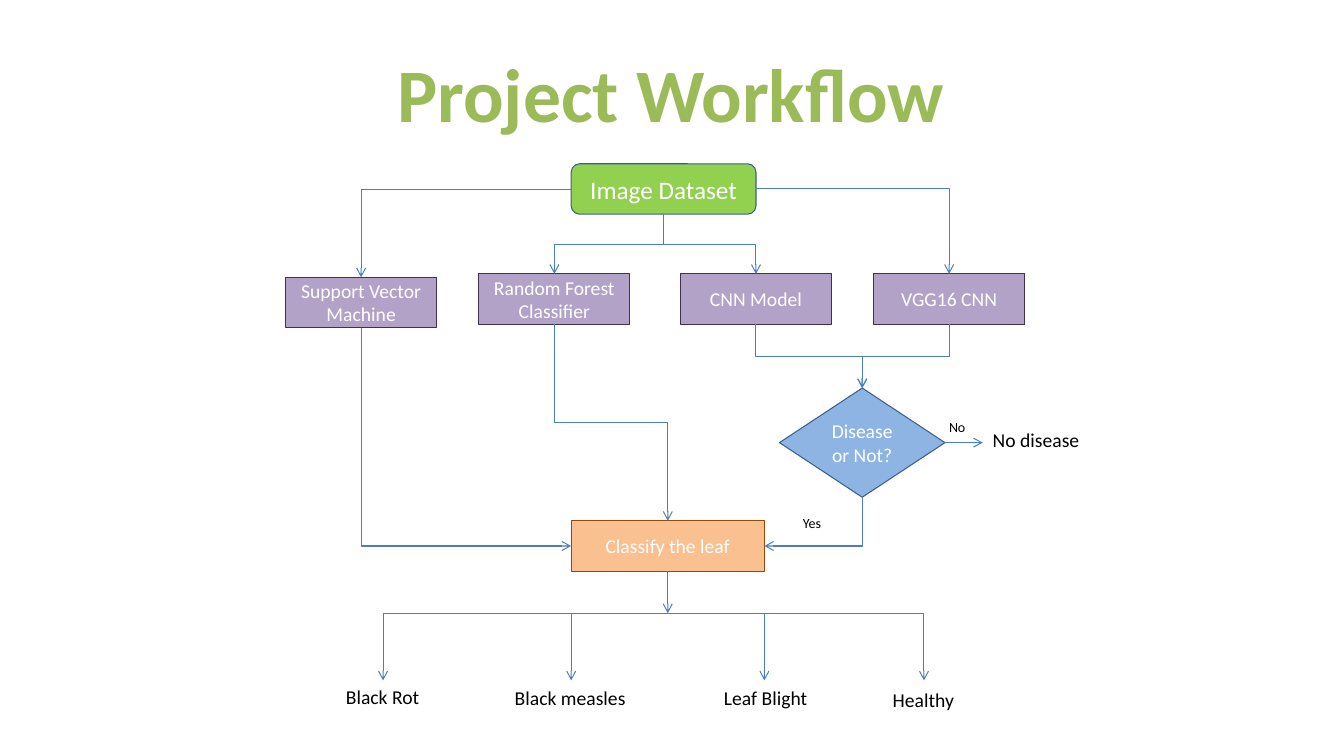
import pptx
import pptx.dml.color
import pptx.enum.shapes
import pptx.enum.text
import pptx.oxml
import pptx.oxml.ns
import pptx.util

SHAPE = pptx.enum.shapes.MSO_SHAPE
CONNECTOR = pptx.enum.shapes.MSO_CONNECTOR
ANCHOR = pptx.enum.text.MSO_ANCHOR
ALIGN = pptx.enum.text.PP_ALIGN
AUTOSIZE = pptx.enum.text.MSO_AUTO_SIZE

COLORS = {
    "title": "9BBB59", "white": "FFFFFF", "black": "000000", "line": "4B7EBC",
    "green": "92D050", "blue": "8EB4E3", "blue_edge": "3A5F8C",
    "purple": "B3A2C7", "purple_edge": "403152",
    "orange": "FAC090", "orange_edge": "984807",
}
TOP, LEFT, BOTTOM, RIGHT = range(4)


def grid(cells):
    """Length of grid cells: 160 columns by 90 rows, each 1/12 inch."""
    return pptx.util.Inches(cells / 12)


def rgb(name):
    return pptx.dml.color.RGBColor.from_string(COLORS[name])


class Flowchart:
    font = "Calibri"
    line_width = pptx.util.Pt(0.75)

    def __init__(self, prs):
        self.slide = prs.slides.add_slide(prs.slide_layouts[5])
        self.shapes = self.slide.shapes

    def add_text(self, tf, text, size, color, align, bold=False):
        p = tf.paragraphs[0]
        p.alignment = align
        r = p.add_run()
        r.text = text
        r.font.name = self.font
        r.font.size = pptx.util.Pt(size)
        r.font.bold = bold
        r.font.color.rgb = rgb(color)

    def title(self, text, area):
        sp = self.shapes.title
        sp.left, sp.top, sp.width, sp.height = map(grid, area)
        tf = sp.text_frame
        tf.word_wrap = False
        tf.auto_size = AUTOSIZE.SHAPE_TO_FIT_TEXT
        tf.vertical_anchor = ANCHOR.TOP
        self.add_text(tf, text, 54, "title", ALIGN.CENTER, bold=True)

    def node(self, text, area, fill, edge, kind=SHAPE.RECTANGLE, size=14):
        sp = self.shapes.add_shape(kind, *map(grid, area))
        sp.shadow.inherit = False
        sp.fill.solid()
        sp.fill.fore_color.rgb = rgb(fill)
        sp.line.color.rgb = rgb(edge)
        sp.line.width = self.line_width
        tf = sp.text_frame
        tf.word_wrap = True
        tf.vertical_anchor = ANCHOR.MIDDLE
        self.add_text(tf, text, size, "white", ALIGN.CENTER)
        return sp

    def label(self, text, area, size=14):
        tf = self.shapes.add_textbox(*map(grid, area)).text_frame
        tf.word_wrap = False
        tf.auto_size = AUTOSIZE.SHAPE_TO_FIT_TEXT
        self.add_text(tf, text, size, "black", ALIGN.LEFT)

    def connector(self, kind, points, arrow=True):
        c = self.shapes.add_connector(kind, *points)
        c.line.color.rgb = rgb("line")
        c.line.width = self.line_width
        if arrow:
            tail = pptx.oxml.parse_xml(
                f'<a:tailEnd {pptx.oxml.ns.nsdecls("a")} type="arrow"/>')
            c._element.spPr.find(pptx.oxml.ns.qn("a:ln")).append(tail)
        c._element.spPr.append(pptx.oxml.parse_xml(
            f'<a:effectLst {pptx.oxml.ns.nsdecls("a")}/>'))
        return c

    def line(self, x1, y1, x2, y2, arrow=True):
        return self.connector(CONNECTOR.STRAIGHT, map(grid, (x1, y1, x2, y2)), arrow)

    def side(self, sp, site):
        dx, dy = ((1, 0), (0, 1), (1, 2), (2, 1))[site]
        return sp.left + sp.width * dx // 2, sp.top + sp.height * dy // 2

    def elbow(self, source, out, target, into):
        x1, y1 = self.side(source, out)
        x2, y2 = self.side(target, into)
        c = self.connector(CONNECTOR.ELBOW, (x1, y1, x2, y2))
        c.begin_connect(source, out)
        c.end_connect(target, into)
        if (out, into) != (BOTTOM, TOP):
            c._element.spPr.prstGeom.set("prst", "bentConnector2")
        if out == BOTTOM:
            # A path that starts downward is a turned frame about the same centre
            across, down = abs(x2 - x1), y2 - y1
            c.left = (x1 + x2 - down) // 2
            c.top = (y1 + y2 - across) // 2
            c.width, c.height = down, across
            xfrm = c._element.spPr.xfrm
            xfrm.flipH = x2 > x1
            xfrm.set("rot", str((270 if x2 > x1 else 90) * 60000))


def main():
    prs = pptx.Presentation()
    prs.slide_width, prs.slide_height = grid(160), grid(90)
    chart = Flowchart(prs)
    chart.title("Project Workflow", (45.7, 5, 68.3, 12.1))

    # Data, models, decision and result
    dataset = chart.node("Image Dataset", (68, 19.5, 22, 6), "green", "blue_edge",
                         SHAPE.ROUNDED_RECTANGLE, 18)
    svm, forest, cnn, vgg = [
        chart.node(text, (col, row, 18, 6), "purple", "purple_edge")
        for text, col, row in (
            ("Support Vector Machine", 34, 33),
            ("Random Forest Classifier", 57, 32.6),
            ("CNN Model", 81, 32.6),
            ("VGG16 CNN", 104, 32.6),
        )]
    classify = chart.node("Classify the leaf", (68, 62, 23, 6), "orange", "orange_edge")
    decision = chart.node("Disease or Not?", (92.8, 46.2, 19.7, 13), "blue",
                          "blue_edge", SHAPE.FLOWCHART_DECISION)

    # Bent arrows between the nodes
    for link in (
        (dataset, LEFT, svm, TOP),
        (dataset, RIGHT, vgg, TOP),
        (dataset, BOTTOM, forest, TOP),
        (dataset, BOTTOM, cnn, TOP),
        (cnn, BOTTOM, decision, TOP),
        (vgg, BOTTOM, decision, TOP),
        (decision, BOTTOM, classify, RIGHT),
        (svm, BOTTOM, classify, LEFT),
        (forest, BOTTOM, classify, TOP),
    ):
        chart.elbow(*link)

    # Answers of the decision
    chart.line(112.5, 52.7, 117, 52.7).begin_connect(decision, RIGHT)
    chart.label("No disease", (117, 50.4, 12.8, 4.1))
    chart.label("No", (111.8, 49.2, 4.4, 3.2), 10)
    chart.label("Yes", (94.4, 60.7, 4.7, 3.2), 10)

    # Classes branching from the result
    bus, tip = 73, 81
    chart.line(79.5, 68, 79.5, bus).begin_connect(classify, BOTTOM)
    chart.line(45.6, bus, 110, bus, arrow=False)
    for text, drop, col, row, cols in (
        ("Black Rot", 45.6, 40, 81, 11.3),
        ("Black measles", 68, 60.1, 81.05, 15.7),
        ("Leaf Blight", 91, 85, 81.1, 12.5),
        ("Healthy", 110, 105.1, 81.3, 9.8),
    ):
        chart.line(drop, bus, drop, tip)
        chart.label(text, (col, row, cols, 4.1))

    prs.save("out.pptx")


if __name__ == "__main__":
    main()
